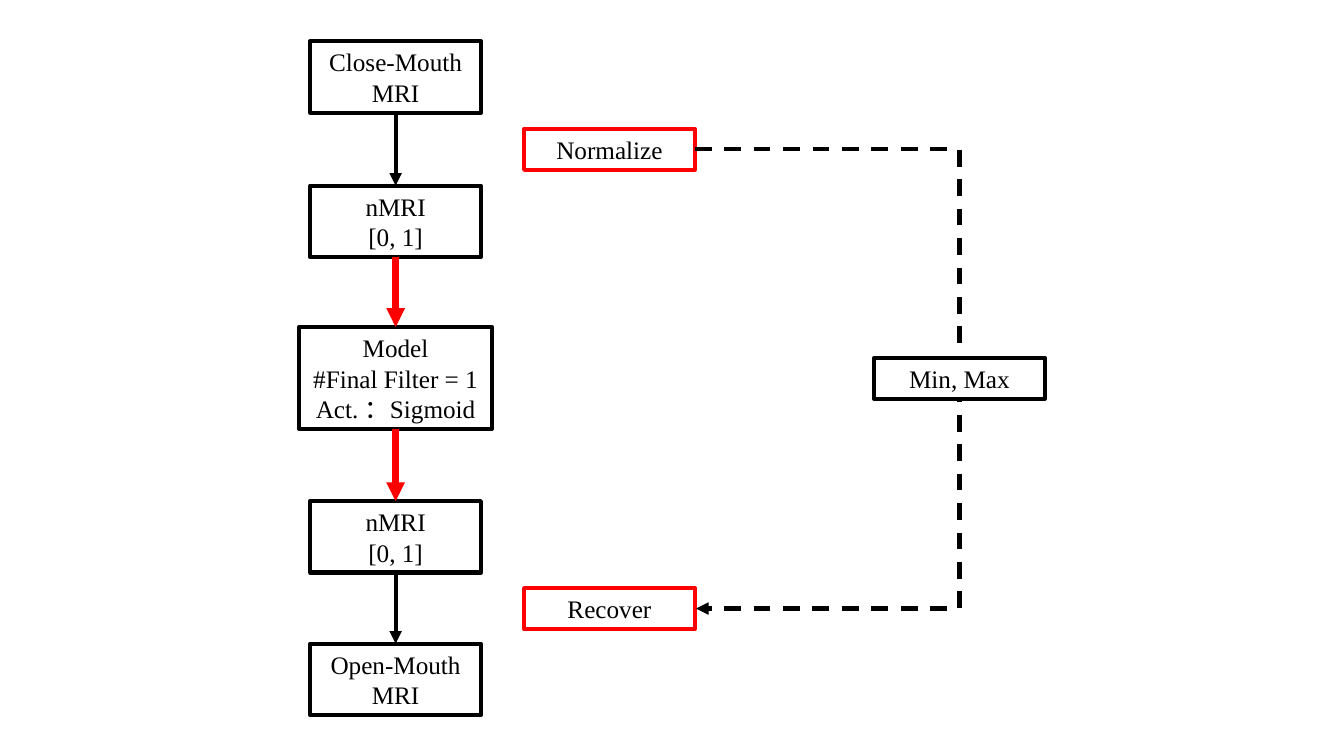
import pptx
import pptx.util
import pptx.dml.color
import pptx.enum.dml
import pptx.enum.shapes
import pptx.enum.text
import pptx.oxml
import pptx.oxml.ns
from dataclasses import dataclass

Cm, Pt = pptx.util.Cm, pptx.util.Pt
RGB = pptx.dml.color.RGBColor
CONNECTOR = pptx.enum.shapes.MSO_CONNECTOR


@dataclass(frozen=True)
class Theme:
    black: RGB = RGB(0, 0, 0)
    red: RGB = RGB(255, 0, 0)
    white: RGB = RGB(255, 255, 255)
    font: str = "Times New Roman"
    size: int = 18
    line: float = 3
    heavy: float = 4.5


T = Theme()


def add_box(s, center, top, width, height, lines, color):
    sp = s.shapes.add_shape(pptx.enum.shapes.MSO_SHAPE.RECTANGLE,
                            Cm(center - width / 2), Cm(top), Cm(width), Cm(height))
    sp.shadow.inherit = False
    sp.fill.background()
    sp.line.color.rgb = color
    sp.line.width = Pt(T.line)
    tf = sp.text_frame
    tf.word_wrap = False
    tf.vertical_anchor = pptx.enum.text.MSO_ANCHOR.MIDDLE
    for i, text in enumerate(lines):
        p = tf.paragraphs[0] if i == 0 else tf.add_paragraph()
        p.alignment = pptx.enum.text.PP_ALIGN.CENTER
        r = p.add_run()
        r.text = text
        r.font.name = T.font
        r.font.size = Pt(T.size)
        r.font.color.rgb = T.black
    return sp


def add_arrow(s, kind, x1, y1, x2, y2, color, weight):
    cx = s.shapes.add_connector(kind, Cm(x1), Cm(y1), Cm(x2), Cm(y2))
    cx.line.color.rgb = color
    cx.line.width = Pt(weight)
    ln = cx.line._get_or_add_ln()
    ln.append(pptx.oxml.parse_xml(
        f'<a:tailEnd {pptx.oxml.ns.nsdecls("a")} type="triangle"/>'))
    cx._element.spPr.append(pptx.oxml.parse_xml(
        f'<a:effectLst {pptx.oxml.ns.nsdecls("a")}/>'))
    return cx


prs = pptx.Presentation()
prs.slide_width, prs.slide_height = Cm(33.87), Cm(19.05)
s = prs.slides.add_slide(prs.slide_layouts[6])

# Main flow: top, width, height, lines
flow_x, box_w, box_h, label_h = 9.97, 4.3, 1.8, 1.03
steps = [
    (1.04, box_w, box_h, ["Close-Mouth", "MRI"]),
    (4.68, box_w, box_h, ["nMRI", "[0, 1]"]),
    (8.24, 4.86, 2.57, ["Model", "#Final Filter = 1", "Act. ：Sigmoid"]),
    (12.63, box_w, box_h, ["nMRI", "[0, 1]"]),
    (16.22, box_w, box_h, ["Open-Mouth", "MRI"]),
]
for top, width, height, lines in steps:
    add_box(s, flow_x, top, width, height, lines, T.black)

# Arrows between the steps; those touching the model are heavy and red
arrow_styles = [(T.black, T.line), (T.red, T.heavy), (T.red, T.heavy), (T.black, T.line)]
for step, following, (color, weight) in zip(steps, steps[1:], arrow_styles):
    add_arrow(s, CONNECTOR.STRAIGHT, flow_x, step[0] + step[2],
              flow_x, following[0], color, weight)

# Operations beside the flow
side_x, normalize_y, recover_y = 15.36, 3.25, 14.82
for top, text in [(normalize_y, "Normalize"), (recover_y, "Recover")]:
    add_box(s, side_x, top, box_w, label_h, [text], T.red)

# Dashed path from Normalize to Recover, bending at turn_x
start_x, end_x, turn_x = side_x + box_w / 2, side_x + box_w / 2 + 0.03, 24.18
cx = add_arrow(s, CONNECTOR.ELBOW, start_x, normalize_y + label_h / 2,
               end_x, recover_y + label_h / 2, T.black, T.line)
cx.line.dash_style = pptx.enum.dml.MSO_LINE.DASH
bend = round((turn_x - start_x) / (end_x - start_x) * 100000)
cx._element.spPr.prstGeom.get_or_add_avLst().append(pptx.oxml.parse_xml(
    f'<a:gd {pptx.oxml.ns.nsdecls("a")} name="adj1" fmla="val {bend}"/>'))

# Values carried along the path
sp = add_box(s, turn_x, 9.02, box_w, label_h, ["Min, Max"], T.black)
sp.fill.solid()
sp.fill.fore_color.rgb = T.white

prs.save("out.pptx")
